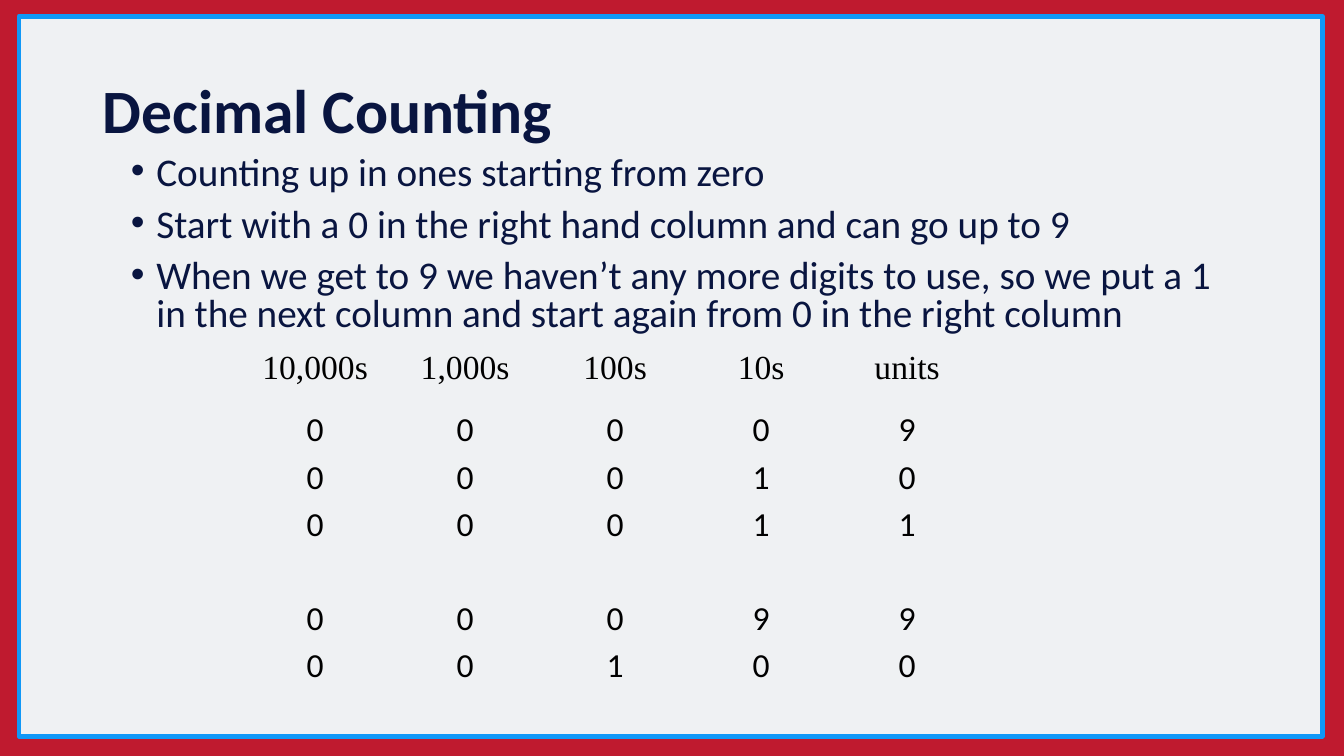
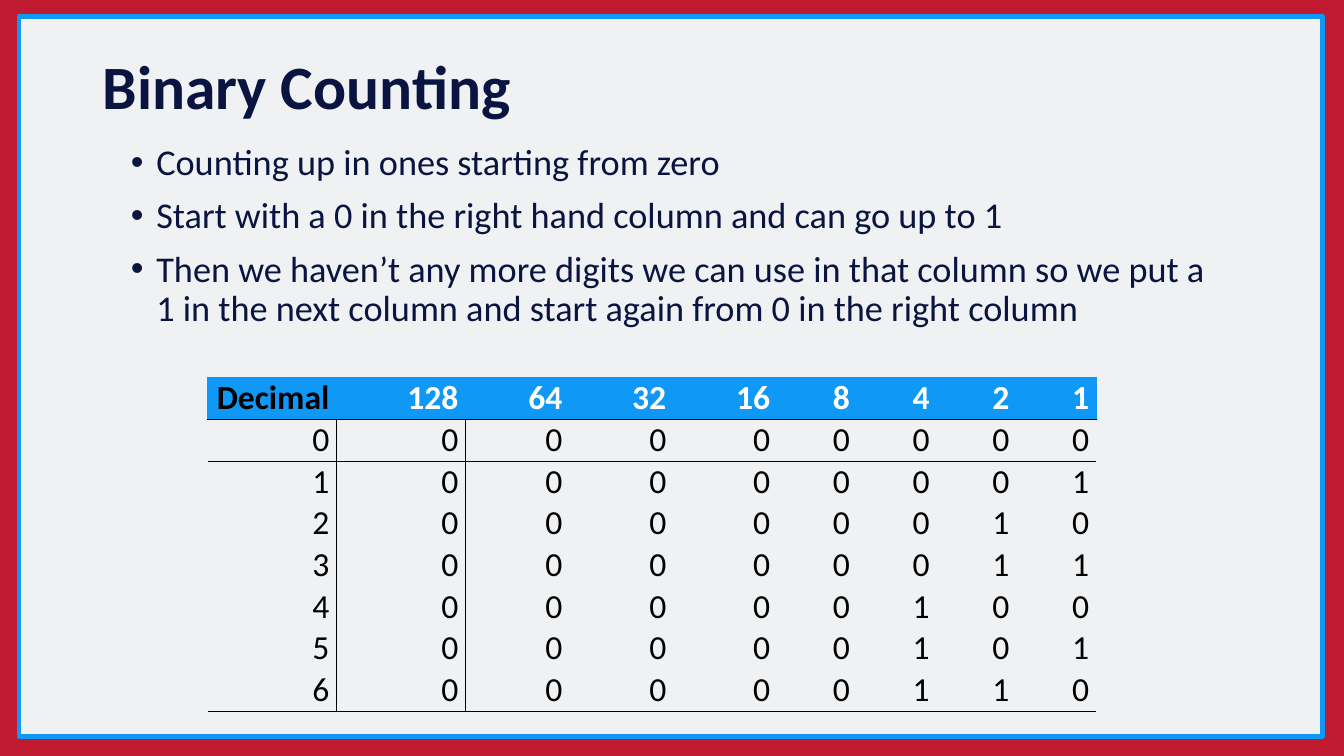
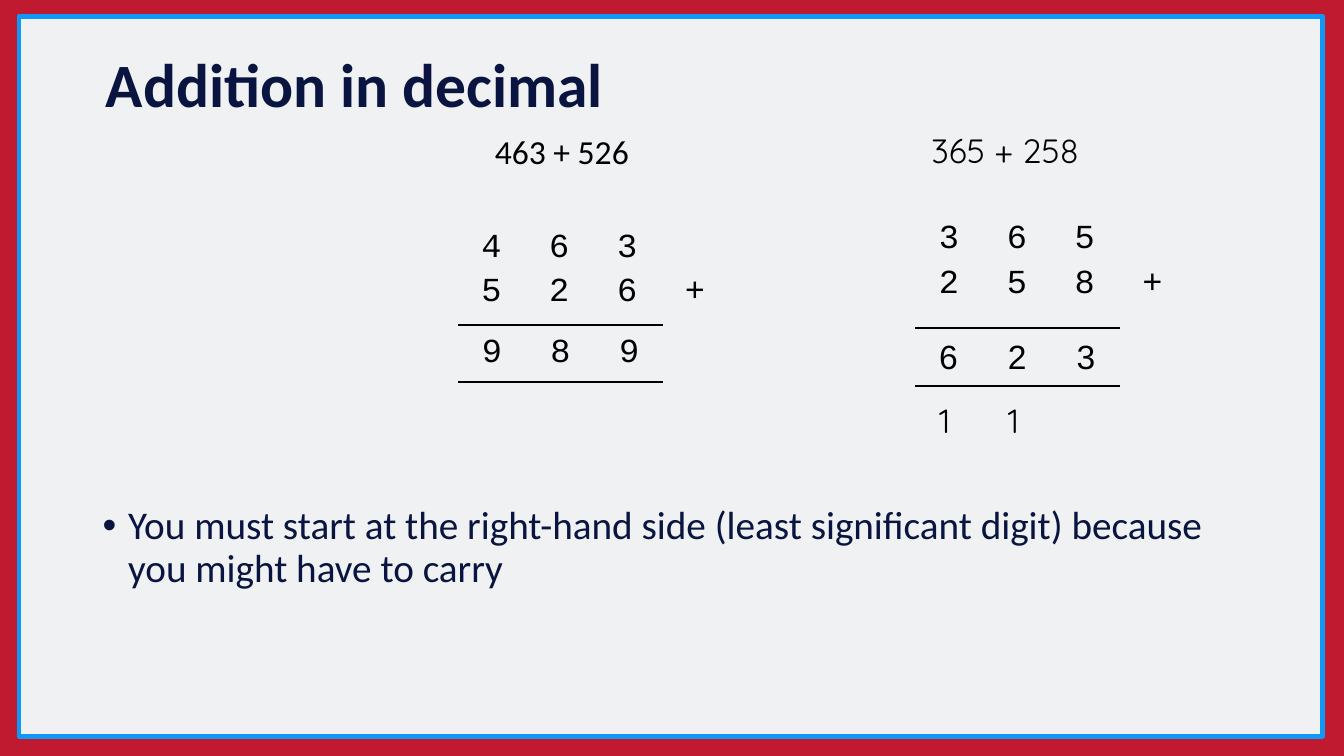
from lxml.etree import SubElement
from pptx import Presentation
from pptx.dml.color import RGBColor
from pptx.enum.shapes import MSO_CONNECTOR, MSO_SHAPE
from pptx.enum.text import MSO_ANCHOR, PP_ALIGN
from pptx.oxml import parse_xml
from pptx.oxml.ns import nsdecls, qn
from pptx.util import Cm, Pt

# Shared style
RED, BLUE, PALE, NAVY = "BF1A2F", "1098F7", "EFF1F3", "091540"
BLACK, WHITE = "000000", "FFFFFF"
PLAIN_TABLE = "{2D5ABB26-0587-4C30-8999-92F81FD0307C}"
NO_INSETS = (0, 0, 0, 0)
WIDE_INSETS = (0.33, 0.33, 0.33, 0.33)
BOX_INSETS = (0.25, 0.13, 0.25, 0.13)
CELL_INSETS = (0.18, 0, 0.18, 0)


def color(value):
    return RGBColor.from_string(value)


class Lesson:
    def __init__(self):
        self.deck = Presentation()
        self.deck.slide_width, self.deck.slide_height = Cm(33.87), Cm(19.05)
        backdrop = self.deck.slide_master.background.fill
        backdrop.solid()
        backdrop.fore_color.rgb = color(RED)
        self.page = None

    def new_page(self):
        self.page = self.deck.slides.add_slide(self.deck.slide_layouts[6])
        panel = self.page.shapes.add_shape(
            MSO_SHAPE.RECTANGLE, Cm(0.48), Cm(0.41), Cm(32.84), Cm(18.14))
        panel.shadow.inherit = False
        panel.fill.solid()
        panel.fill.fore_color.rgb = color(PALE)
        panel.line.color.rgb = color(BLUE)
        panel.line.width = Pt(3.5)

    def span(self, para, text, size=24, font="Calibri", ink=BLACK, bold=False):
        span = para.add_run()
        span.text = text
        span.font.size, span.font.name, span.font.bold = Pt(size), font, bold
        span.font.color.rgb = color(ink)

    def inset(self, holder, insets):
        (holder.margin_left, holder.margin_top,
         holder.margin_right, holder.margin_bottom) = map(Cm, insets)

    def frame(self, left, top, width, height, insets=BOX_INSETS):
        box = self.page.shapes.add_textbox(Cm(left), Cm(top), Cm(width), Cm(height))
        box.text_frame.word_wrap = True
        self.inset(box.text_frame, insets)
        return box.text_frame

    def title(self, text, top, height, insets=BOX_INSETS):
        frame = self.frame(2.34, top, 29.21, height, insets)
        frame.vertical_anchor = MSO_ANCHOR.MIDDLE
        para = frame.paragraphs[0]
        para.line_spacing = 0.9
        self.span(para, text, 44, ink=NAVY, bold=True)

    def label(self, text, left, top, width, height, font="Calibri", insets=WIDE_INSETS):
        frame = self.frame(left, top, width, height, insets)
        self.span(frame.paragraphs[0], text, font=font)

    def bullets(self, lines, left, top, width, height, size=28, spacing=0.9):
        frame = self.frame(left, top, width, height)
        for index, line in enumerate(lines):
            para = frame.add_paragraph() if index else frame.paragraphs[0]
            para.line_spacing, para.space_before = spacing, Pt(10)
            self.span(para, line, size, ink=NAVY)
            properties = para._p.get_or_add_pPr()
            properties.set("marL", str(Cm(0.64)))
            properties.set("indent", str(-Cm(0.64)))
            SubElement(properties, qn("a:buFont")).set("typeface", "Arial")
            SubElement(properties, qn("a:buChar")).set("char", "\u2022")

    def table(self, rows, left, top, widths, heights, align=PP_ALIGN.CENTER,
              insets=CELL_INSETS, font="Calibri"):
        holder = self.page.shapes.add_table(
            len(rows), len(widths), Cm(left), Cm(top), Cm(sum(widths)), Cm(sum(heights)))
        holder.element.xpath(".//a:tableStyleId")[0].text = PLAIN_TABLE
        table = holder.table
        table.first_row = table.horz_banding = False
        for column, width in zip(table.columns, widths):
            column.width = Cm(width)
        for row, height, texts in zip(table.rows, heights, rows):
            row.height = Cm(height)
            for cell, text in zip(row.cells, texts):
                cell.fill.background()
                if text:
                    self.inset(cell, insets)
                    para = cell.text_frame.paragraphs[0]
                    para.alignment = align
                    self.span(para, text, font=font)
        return table

    def borders(self, cell, **sides):
        """Sides are L, R, T and B, each with (colour, points)."""
        properties = cell._tc.get_or_add_tcPr()
        drawn = [side for side in "LRTB" if side in sides]
        for position, side in enumerate(drawn):
            ink, points = sides[side]
            properties.insert(position, parse_xml(
                f'<a:ln{side} {nsdecls("a")} w="{Pt(points)}"><a:solidFill>'
                f'<a:srgbClr val="{ink}"/></a:solidFill></a:ln{side}>'))

    def rule(self, left, top, width):
        line = self.page.shapes.add_connector(
            MSO_CONNECTOR.STRAIGHT, Cm(left), Cm(top), Cm(left + width), Cm(top))
        line.line.color.rgb = color(BLACK)
        line.line.width = Pt(1.5)
        SubElement(line.element.spPr, qn("a:effectLst"))

    def addition(self, numbers, left, top, rules):
        first, second = numbers
        self.table([[*first, ""], [*second, "+"]], left, top, [1.71] * 4, [1.12, 1.27],
                   insets=NO_INSETS, font="Courier New")
        for height in rules:
            self.rule(left, height, 5.17)


lesson = Lesson()

# Decimal counting
lesson.new_page()
lesson.title("Decimal Counting", 1.02, 3.68)
lesson.bullets([
    "Counting up in ones starting from zero",
    "Start with a 0 in the right hand column and can go up to 9",
    "When we get to 9 we haven\u2019t any more digits to use, so we put a 1 "
    "in the next column and start again from 0 in the right column",
], 3.05, 3.81, 27.94, 5, spacing=0.8)
counts = ["00009", "00010", "00011", [""] * 5, "00099", "00100"]
places = lesson.table([["10,000s", "1,000s", "100s", "10s", "units"], *counts],
                      6.05, 8.81, [3.78, 3.78, 3.78, 3.58, 3.78], [1.52] + [1.19] * 6)
for cell in places.rows[0].cells:
    cell.text_frame.paragraphs[0].runs[0].font.name = "Times New Roman"

# Binary counting
lesson.new_page()
lesson.title("Binary Counting", 0.53, 3.43)
lesson.bullets([
    "Counting up in ones starting from zero",
    "Start with a 0 in the right hand column and can go up to 1",
    "Then we haven\u2019t any more digits we can use in that column so we put a "
    "1 in the next column and start again from 0 in the right column",
], 3.05, 3.51, 27.94, 5.36, size=25.9)
header = ["Decimal"] + [str(2 ** power) for power in range(7, -1, -1)]
binary = lesson.table([header] + [[str(n), *f"{n:08b}"] for n in range(7)],
                      5.23, 9.52, [3.25] * 2 + [2.62] * 3 + [2.01] * 4, [1.05] * 8,
                      align=PP_ALIGN.RIGHT)
thin, edge = (BLACK, 1), (BLUE, 0.5)
for column, cell in enumerate(binary.rows[0].cells):
    cell.fill.solid()
    cell.fill.fore_color.rgb = color(BLUE)
    font = cell.text_frame.paragraphs[0].runs[0].font
    font.bold = True
    font.color.rgb = color(WHITE if column else BLACK)
    lesson.borders(cell, L=edge, R=edge, T=edge, B=thin)
for row in range(1, 8):
    for column in range(9):
        sides = {}
        if column < 2:
            sides["L" if column else "R"] = thin
        if row == 1:
            sides["T"] = thin
        if row == 7:
            sides["B"] = thin
        lesson.borders(binary.cell(row, column), **sides)

# Addition in decimal
lesson.new_page()
lesson.title("Addition in decimal", 1.02, 2.39, WIDE_INSETS)
lesson.bullets(["You must start at the right-hand side (least significant digit) "
                "because you might have to carry"], 2.34, 12.62, 29.21, 4.52)

# Sum without a carry
lesson.label("463 + 526", 12.14, 2.97, 4.83, 1.52)
lesson.addition(("463", "526"), 11.53, 5.77, (8.18, 9.63))
lesson.table(["989"], 11.53, 8.1, [1.73] * 3, [1.7], insets=WIDE_INSETS, font="Courier New")

# Sum with carries
lesson.label("365 + 258", 23.14, 2.95, 4.83, 1.52, "Quicksand")
lesson.addition(("365", "258"), 23.06, 5.56, (8.26, 9.73))
for index, digit in enumerate("623"):
    lesson.label(digit, 23.67 + 1.73 * index, 8.46, 0.84, 1.12, "Arial", NO_INSETS)
for index, carry in enumerate("11"):
    lesson.label(carry, 23.34 + 1.73 * index, 9.75, 1.14, 1.17, "Quicksand")

lesson.deck.save("out.pptx")
